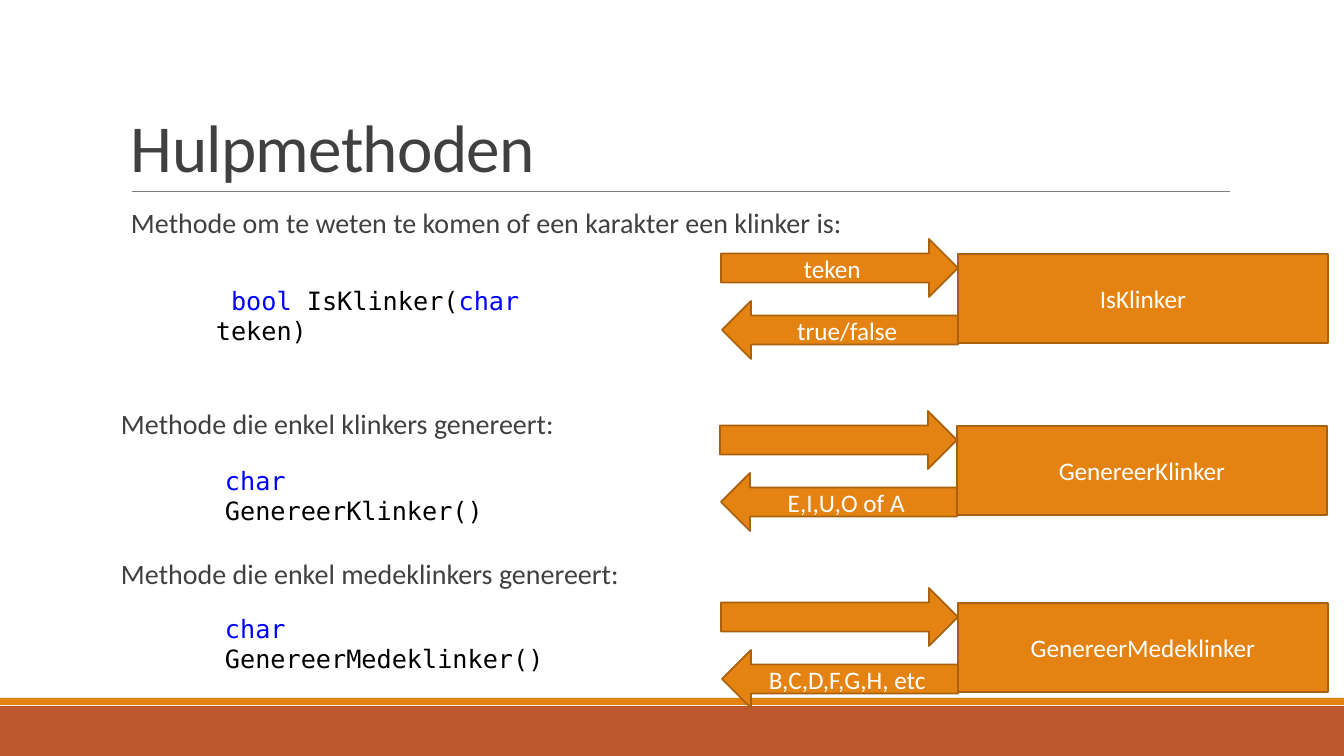
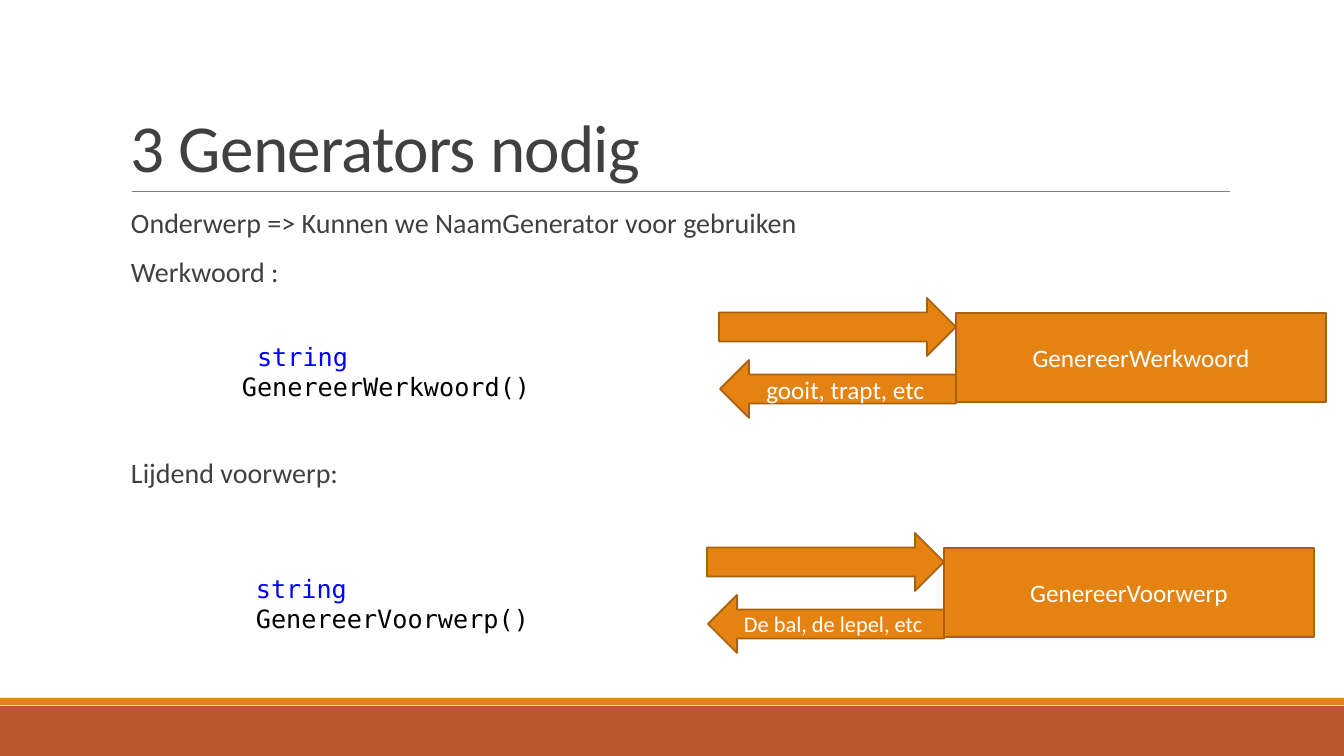
from dataclasses import dataclass

from lxml.etree import SubElement
from pptx import Presentation
from pptx.dml.color import RGBColor
from pptx.enum.shapes import MSO_CONNECTOR, MSO_SHAPE
from pptx.enum.text import MSO_ANCHOR as Anchor, PP_ALIGN as Align
from pptx.oxml.ns import qn
from pptx.slide import Slide
from pptx.text.text import TextFrame
from pptx.util import Emu, Pt

WIDE, HIGH = 1344, 756
SCALE = 12192000 / WIDE
SANS, MONO = "Calibri", "DejaVu Sans Mono"
ORANGE, RUST, EDGE = "E48312", "BD582C", "A9610D"
DARK, GREY, WHITE, BLACK, BLUE = "404040", "808080", "FFFFFF", "000000", "0000FF"
BOX_W, BOX_H = 370, 89
ARROW_W, ARROW_H = 237, 58
ROW = 36  # points from one body line to the next


@dataclass
class Label:
    text: str
    skip: int = 0  # free rows above
    indent: int = 10


@dataclass
class Code:
    """A signature; keywords stand between backticks."""
    x: int
    y: int
    w: int
    text: str


@dataclass
class Flow:
    """A method box at x, y with an arrow in and an arrow out."""
    x: int
    y: int
    name: str
    given: str = ""
    result: str = ""
    size: int = 18


@dataclass
class Page:
    title: str
    labels: list[Label]
    codes: list[Code]
    flows: list[Flow]


PAGES = [
    Page(
        "Hulpmethoden",
        [Label("Methode om te weten te komen of een karakter een klinker is:"),
         Label("Methode die enkel klinkers genereert:", 3, 0),
         Label("Methode die enkel medeklinkers genereert:", 2, 0)],
        [Code(206, 280, 397, " `bool` IsKlinker(`char` teken)"),
         Code(215, 460, 328, "`char` GenereerKlinker()"),
         Code(215, 608, 383, "`char` GenereerMedeklinker()")],
        [Flow(958, 254, "IsKlinker", "teken", "true/false"),
         Flow(957, 426, "GenereerKlinker", result="E,I,U,O of A"),
         Flow(958, 603, "GenereerMedeklinker", result="B,C,D,F,G,H, etc")],
    ),
    Page(
        "3 Generators nodig",
        [Label("Onderwerp => Kunnen we NaamGenerator voor gebruiken"),
         Label("Werkwoord :"),
         Label("Lijdend voorwerp:", 3)],
        [Code(232, 336, 397, " `string` GenereerWerkwoord()"),
         Code(246, 568, 369, "`string` GenereerVoorwerp()")],
        [Flow(956, 313, "GenereerWerkwoord", result="gooit, trapt, etc"),
         Flow(944, 548, "GenereerVoorwerp", result="De bal, de lepel, etc", size=16)],
    ),
]


def px(n: int) -> Emu:
    return Emu(round(n * SCALE))


def rgb(code: str) -> RGBColor:
    return RGBColor.from_string(code)


def style(font, size: int, color: str, face: str = SANS) -> None:
    font.name, font.size = face, Pt(size)
    font.color.rgb = rgb(color)


def add_block(slide: Slide, kind: MSO_SHAPE, x: int, y: int, w: int, h: int,
              fill: str, edge: str = "", text: str = "", size: int = 18) -> None:
    block = slide.shapes.add_shape(kind, px(x), px(y), px(w), px(h))
    block.shadow.inherit = False
    block.fill.solid()
    block.fill.fore_color.rgb = rgb(fill)
    if edge:
        block.line.color.rgb = rgb(edge)
        block.line.width = Pt(1.25)
    else:
        block.line.fill.background()
    if text:
        frame = block.text_frame
        frame.vertical_anchor = Anchor.MIDDLE
        para = frame.paragraphs[0]
        para.text, para.alignment = text, Align.CENTER
        style(para.font, size, WHITE)


def add_text(slide: Slide, x: int, y: int, w: int, h: int) -> TextFrame:
    frame = slide.shapes.add_textbox(px(x), px(y), px(w), px(h)).text_frame
    frame.word_wrap = True
    return frame


def add_base(slide: Slide, title: str) -> None:
    """Draw the bands, the rule and the title."""
    add_block(slide, MSO_SHAPE.RECTANGLE, 0, 706, WIDE, HIGH - 706, RUST)
    add_block(slide, MSO_SHAPE.RECTANGLE, 0, 698, WIDE, 7, ORANGE)
    rule = slide.shapes.add_connector(
        MSO_CONNECTOR.STRAIGHT, px(132), px(191), px(1230), px(191))
    rule.line.color.rgb = rgb(GREY)
    rule.line.width = Pt(0.5)
    SubElement(rule._element.spPr, qn("a:effectLst"))

    frame = add_text(slide, 121, 31, 1109, 160)
    frame.vertical_anchor = Anchor.BOTTOM
    para = frame.paragraphs[0]
    para.line_spacing = 0.85
    run = para.add_run()
    run.text = title
    style(run.font, 48, DARK)
    run._r.get_or_add_rPr().set("spc", "-50")


def add_body(slide: Slide, labels: list[Label]) -> None:
    frame = add_text(slide, 121, 204, 1109, 444)
    frame.margin_left = frame.margin_right = 0
    for i, label in enumerate(labels):
        para = frame.add_paragraph() if i else frame.paragraphs[0]
        para.text = label.text
        para.line_spacing = 0.9
        para.space_before = Pt(12 + ROW * label.skip if i else 0)
        para.space_after = Pt(2)
        para._p.get_or_add_pPr().set("marL", str(px(label.indent)))
        style(para.font, 20, DARK)


def add_code(slide: Slide, code: Code) -> None:
    para = add_text(slide, code.x, code.y, code.w, 70).paragraphs[0]
    for i, part in enumerate(code.text.split("`")):
        if part:
            run = para.add_run()
            run.text = part
            style(run.font, 18, BLUE if i % 2 else BLACK, MONO)


def add_flow(slide: Slide, flow: Flow) -> None:
    left = flow.x - ARROW_W
    add_block(slide, MSO_SHAPE.RECTANGLE, flow.x, flow.y, BOX_W, BOX_H,
              ORANGE, EDGE, flow.name)
    add_block(slide, MSO_SHAPE.RIGHT_ARROW, left, flow.y - 15, ARROW_W, ARROW_H,
              ORANGE, EDGE, flow.given)
    add_block(slide, MSO_SHAPE.LEFT_ARROW, left + 1, flow.y + 47, ARROW_W - 1, ARROW_H,
              ORANGE, EDGE, flow.result, flow.size)


def main() -> None:
    deck = Presentation()
    deck.slide_width, deck.slide_height = px(WIDE), px(HIGH)
    for page in PAGES:
        slide = deck.slides.add_slide(deck.slide_layouts[6])
        add_base(slide, page.title)
        add_body(slide, page.labels)
        for code in page.codes:
            add_code(slide, code)
        for flow in page.flows:
            add_flow(slide, flow)
    deck.save("out.pptx")


if __name__ == "__main__":
    main()
